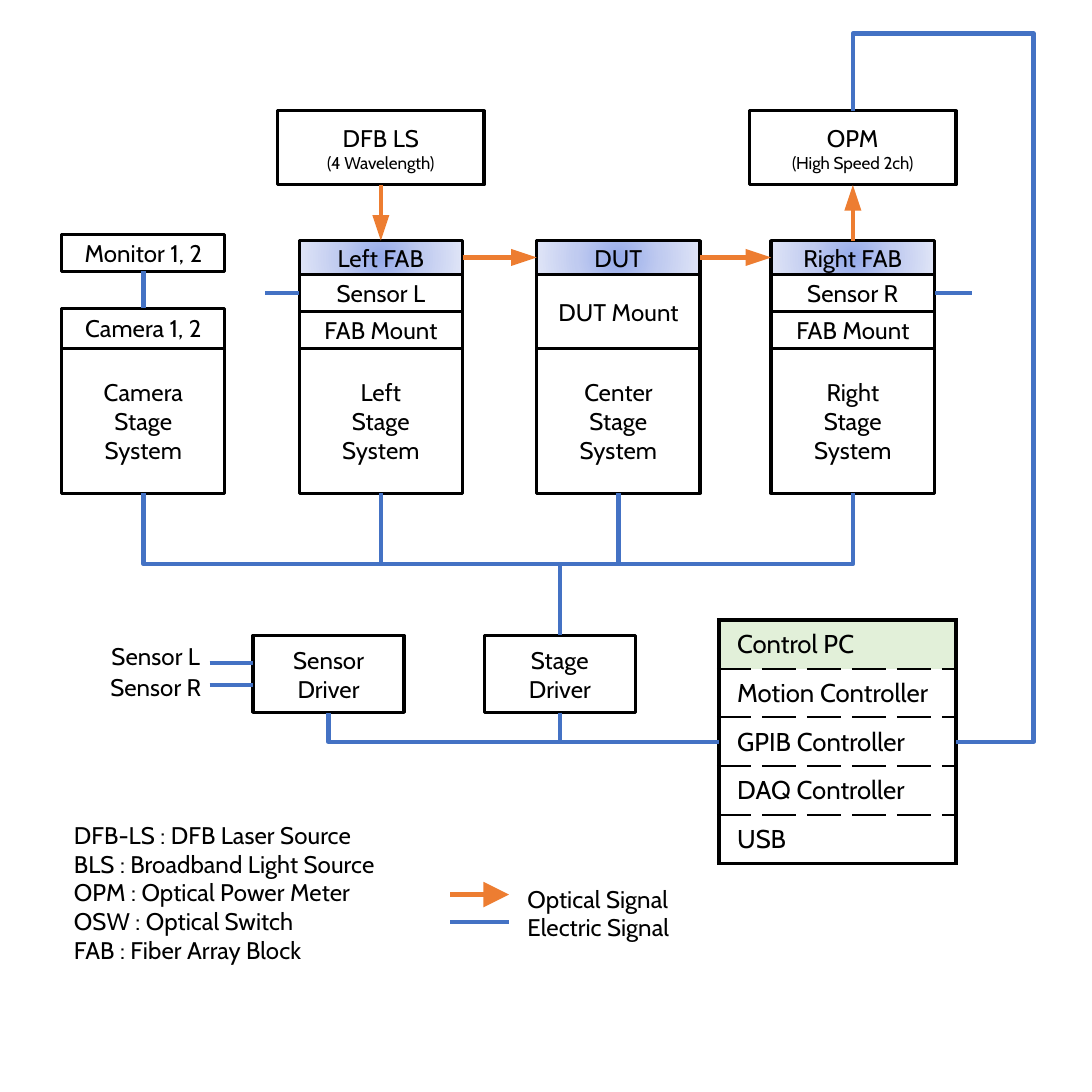
"""Draw the block diagram of a fibre alignment and measurement system."""
from lxml.etree import SubElement
from pptx import Presentation
from pptx.dml.color import RGBColor
from pptx.enum.shapes import MSO_CONNECTOR as LINK, MSO_SHAPE as SHAPE
from pptx.enum.text import MSO_ANCHOR as ANCHOR, MSO_AUTO_SIZE as FIT, PP_ALIGN as ALIGN
from pptx.oxml import parse_xml
from pptx.oxml.ns import nsdecls, qn
from pptx.util import Inches, Pt

BLACK = RGBColor(0x00, 0x00, 0x00)
ELECTRIC = RGBColor(0x44, 0x72, 0xC4)
OPTICAL = RGBColor(0xED, 0x7D, 0x31)
PALE_GREEN = RGBColor(0xE2, 0xF0, 0xD9)
GLOW = ((0, "96ABEA"), (50, "C0CBF0"), (100, "E0E5F7"))
FONT, BODY, SMALL, PC_SIZE = "Cabin", 5.6, 4, 6
TOP, LEFT, BOTTOM, RIGHT = range(4)

STACK_WIDTH, STACK_BOTTOM = 0.53, 1.6
STACKS = {
    "camera": (0.2, [("Camera 1, 2", 1.0), ("Camera\nStage\nSystem", 1.13)]),
    "left": (0.97, [("Left FAB", 0.78), ("Sensor L", 0.89), ("FAB Mount", 1.01),
                    ("Left\nStage\nSystem", 1.13)]),
    "center": (1.74, [("DUT", 0.78), ("DUT Mount", 0.89),
                      ("Center\nStage\nSystem", 1.13)]),
    "right": (2.5, [("Right FAB", 0.78), ("Sensor R", 0.89), ("FAB Mount", 1.01),
                    ("Right\nStage\nSystem", 1.13)]),
}
GLOWING = ("Left FAB", "DUT", "Right FAB")
INSTRUMENTS = {
    "monitor": ("Monitor 1, 2", "", 0.2, 0.76, 0.53, 0.12),
    "laser": ("DFB LS", "(4 Wavelength)", 0.9, 0.36, 0.67, 0.24),
    "meter": ("OPM", "(High Speed 2ch)", 2.43, 0.36, 0.67, 0.24),
    "sensor driver": ("Sensor\nDriver", "", 0.82, 2.06, 0.49, 0.25),
    "stage driver": ("Stage\nDriver", "", 1.57, 2.06, 0.49, 0.25),
}
PC_ROWS = ["Control PC", "Motion Controller", "GPIB Controller", "DAQ Controller", "USB"]
PC_PLACE = (2.33, 2.01, 0.77, 0.79)
ABBREVIATIONS = ["DFB-LS : DFB Laser Source", "BLS : Broadband Light Source",
                 "OPM : Optical Power Meter", "OSW : Optical Switch",
                 "FAB : Fiber Array Block"]
NOTES = [
    (["Sensor L"], 0.26, 2.03, 0.49, 0.2, ALIGN.CENTER),
    (["Sensor R"], 0.26, 2.13, 0.49, 0.2, ALIGN.CENTER),
    (["Optical Signal"], 1.71, 2.82, 0.65, 0.2, ALIGN.LEFT),
    (["Electric Signal"], 1.71, 2.91, 0.65, 0.2, ALIGN.LEFT),
    (ABBREVIATIONS, 0.24, 2.61, 1.2, 0.57, ALIGN.LEFT),
]
FREE_LINES = [
    (0.68, 2.15, 0.82, 2.15, ELECTRIC),
    (0.68, 2.22, 0.82, 2.22, ELECTRIC),
    (1.46, 2.9, 1.65, 2.9, OPTICAL),
    (1.46, 2.99, 1.65, 2.99, ELECTRIC),
]


def write(paragraph, text, size=BODY):
    for index, line in enumerate(text.split("\n")):
        if index:
            paragraph.add_line_break()
        run = paragraph.add_run()
        run.text = line
        run.font.name, run.font.size = FONT, Pt(size)
        run.font.color.rgb = BLACK


def add_box(shapes, label, detail, *place):
    box = shapes.add_shape(SHAPE.RECTANGLE, *map(Inches, place))
    box.shadow.inherit = False
    box.fill.background()
    box.line.color.rgb, box.line.width = BLACK, Pt(0.75)
    frame = box.text_frame
    frame.margin_left = frame.margin_right = frame.margin_top = frame.margin_bottom = 0
    frame.vertical_anchor = ANCHOR.MIDDLE
    paragraph = frame.paragraphs[0]
    paragraph.alignment = ALIGN.CENTER
    write(paragraph, label)
    if detail:
        paragraph.add_line_break()
        write(paragraph, detail, SMALL)
    return box


def add_glow(box):
    stops = "".join(f'<a:gs pos="{position * 1000}"><a:srgbClr val="{color}"/></a:gs>'
                    for position, color in GLOW)
    properties = box._element.spPr
    properties.replace(properties.find(qn("a:noFill")), parse_xml(
        f'<a:gradFill {nsdecls("a")} rotWithShape="1"><a:gsLst>{stops}</a:gsLst>'
        '<a:path path="circle"><a:fillToRect l="50000" t="50000" r="50000" b="50000"/>'
        '</a:path></a:gradFill>'))


def add_line(shapes, color, ends=(0, 0, 0, 0), kind=LINK.STRAIGHT, head="med"):
    line = shapes.add_connector(kind, *map(Inches, ends))
    line.line.color.rgb, line.line.width = color, Pt(1)
    if color == OPTICAL:
        SubElement(line.line._get_or_add_ln(), qn("a:tailEnd"), type="triangle", w=head)
    SubElement(line._element.spPr, qn("a:effectLst"))
    return line


def join(shapes, color, start, start_side, end, end_side, kind=LINK.STRAIGHT):
    line = add_line(shapes, color, kind=kind, head="sm")
    line.begin_connect(start, start_side)
    line.end_connect(end, end_side)
    return line


def join_bent(shapes, start, start_side, end, end_side, preset, adjusts=()):
    line = join(shapes, ELECTRIC, start, start_side, end, end_side, LINK.ELBOW)
    across, down = line.end_x - line.begin_x, line.end_y - line.begin_y
    middle_x = (line.begin_x + line.end_x) // 2
    middle_y = (line.begin_y + line.end_y) // 2
    line.width, line.height = down, abs(across)
    line.left, line.top = middle_x - down // 2, middle_y - abs(across) // 2
    frame = line._element.spPr.find(qn("a:xfrm"))
    frame.attrib.clear()
    frame.set("rot", "5400000")
    if across > 0:
        frame.set("flipV", "1")
    geometry = line._element.spPr.find(qn("a:prstGeom"))
    geometry.set("prst", preset)
    guides = geometry.find(qn("a:avLst"))
    for number, value in enumerate(adjusts, 1):
        SubElement(guides, qn("a:gd"), name=f"adj{number}", fmla=f"val {value}")


def add_border(cell, side, width, dash):
    border = SubElement(cell._tc.get_or_add_tcPr(), qn(f"a:{side}"), w=str(Pt(width)))
    SubElement(SubElement(border, qn("a:solidFill")), qn("a:srgbClr"), val=str(BLACK))
    SubElement(border, qn("a:prstDash"), val=dash)


def add_pc(shapes):
    holder = shapes.add_table(len(PC_ROWS), 1, *map(Inches, PC_PLACE))
    table = holder.table
    last = len(PC_ROWS) - 1
    for index, label in enumerate(PC_ROWS):
        table.rows[index].height = Inches(PC_PLACE[3] / len(PC_ROWS))
        cell = table.cell(index, 0)
        cell.margin_left = cell.margin_right = Inches(0.06)
        cell.margin_top, cell.margin_bottom = Inches(0.03), Inches(0.02)
        write(cell.text_frame.paragraphs[0], label, PC_SIZE)
        outer, inner = (1, "solid"), (0.5, "sysDash")
        add_border(cell, "lnL", *outer)
        add_border(cell, "lnR", *outer)
        add_border(cell, "lnT", *(inner if index else outer))
        add_border(cell, "lnB", *(inner if index < last else outer))
        if index:
            cell.fill.background()
        else:
            cell.fill.solid()
            cell.fill.fore_color.rgb = PALE_GREEN
    return holder


def main():
    deck = Presentation()
    deck.slide_width = deck.slide_height = Inches(3.54)
    shapes = deck.slides.add_slide(deck.slide_layouts[6]).shapes

    units = {name: add_box(shapes, *unit) for name, unit in INSTRUMENTS.items()}
    stacks = {}
    for name, (left, layers) in STACKS.items():
        bottoms = [top for _, top in layers[1:]] + [STACK_BOTTOM]
        stacks[name] = [add_box(shapes, label, "", left, top, STACK_WIDTH, bottom - top)
                        for (label, top), bottom in zip(layers, bottoms)]
        if layers[0][0] in GLOWING:
            add_glow(stacks[name][0])
    pc = add_pc(shapes)

    for lines, left, top, width, height, alignment in NOTES:
        frame = shapes.add_textbox(*map(Inches, (left, top, width, height))).text_frame
        frame.word_wrap = False
        frame.auto_size = FIT.SHAPE_TO_FIT_TEXT
        frame.margin_left = frame.margin_right = 0
        for index, line in enumerate(lines):
            paragraph = frame.add_paragraph() if index else frame.paragraphs[0]
            paragraph.alignment = alignment
            write(paragraph, line)

    for *ends, color in FREE_LINES:
        add_line(shapes, color, ends)
    for name, side, far_x in (("left", LEFT, 0.86), ("right", RIGHT, 3.15)):
        stub = add_line(shapes, ELECTRIC, (far_x, 0.95, far_x, 0.95))
        stub.end_connect(stacks[name][1], side)

    left_fab, dut, right_fab = (stacks[name][0] for name in ("left", "center", "right"))
    join(shapes, ELECTRIC, units["monitor"], BOTTOM, stacks["camera"][0], TOP)
    join(shapes, OPTICAL, units["laser"], BOTTOM, left_fab, TOP)
    join(shapes, OPTICAL, left_fab, RIGHT, dut, LEFT)
    join(shapes, OPTICAL, dut, RIGHT, right_fab, LEFT)
    join(shapes, OPTICAL, right_fab, TOP, units["meter"], BOTTOM)

    for layers in stacks.values():
        join_bent(shapes, layers[-1], BOTTOM, units["stage driver"], TOP,
                  "bentConnector3", (50000,))
    for name in ("sensor driver", "stage driver"):
        join_bent(shapes, units[name], BOTTOM, pc, LEFT, "bentConnector2")
    join_bent(shapes, units["meter"], TOP, pc, RIGHT, "bentConnector4", (-12300, 174900))
    deck.save("out.pptx")


if __name__ == "__main__":
    main()
